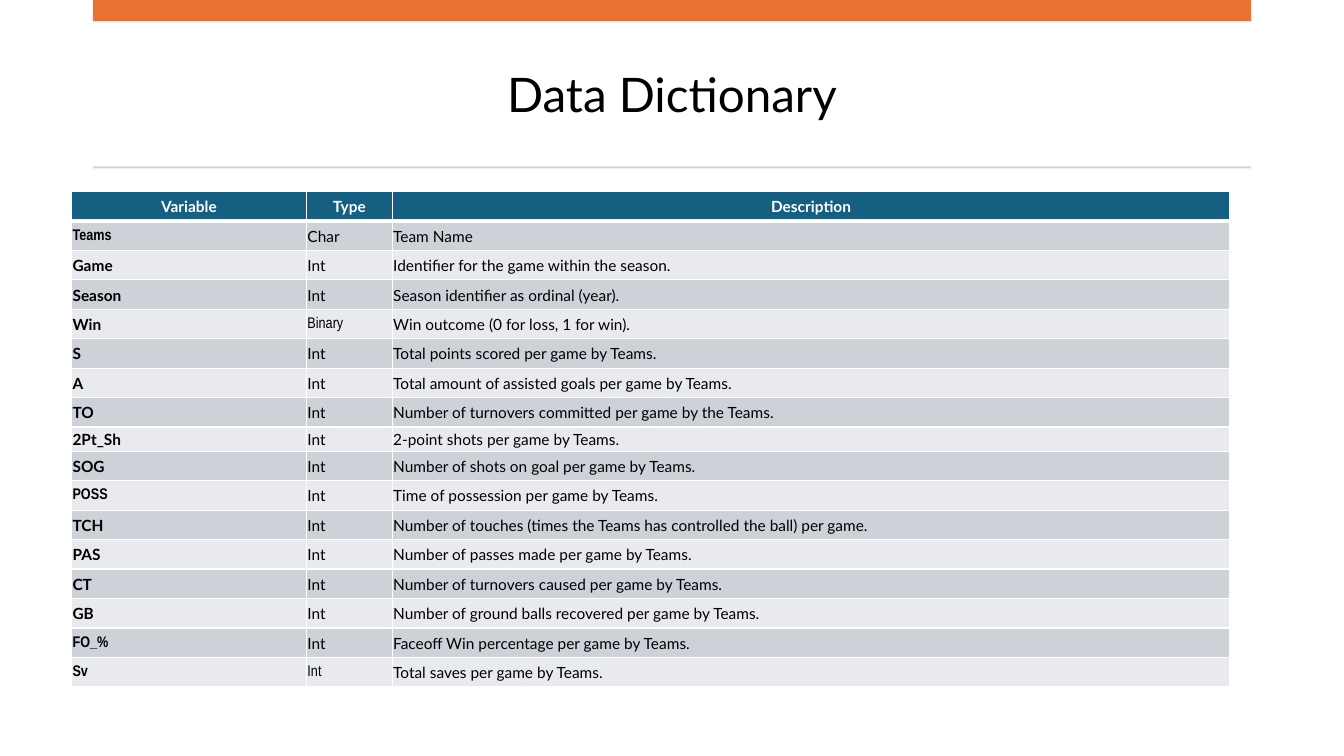
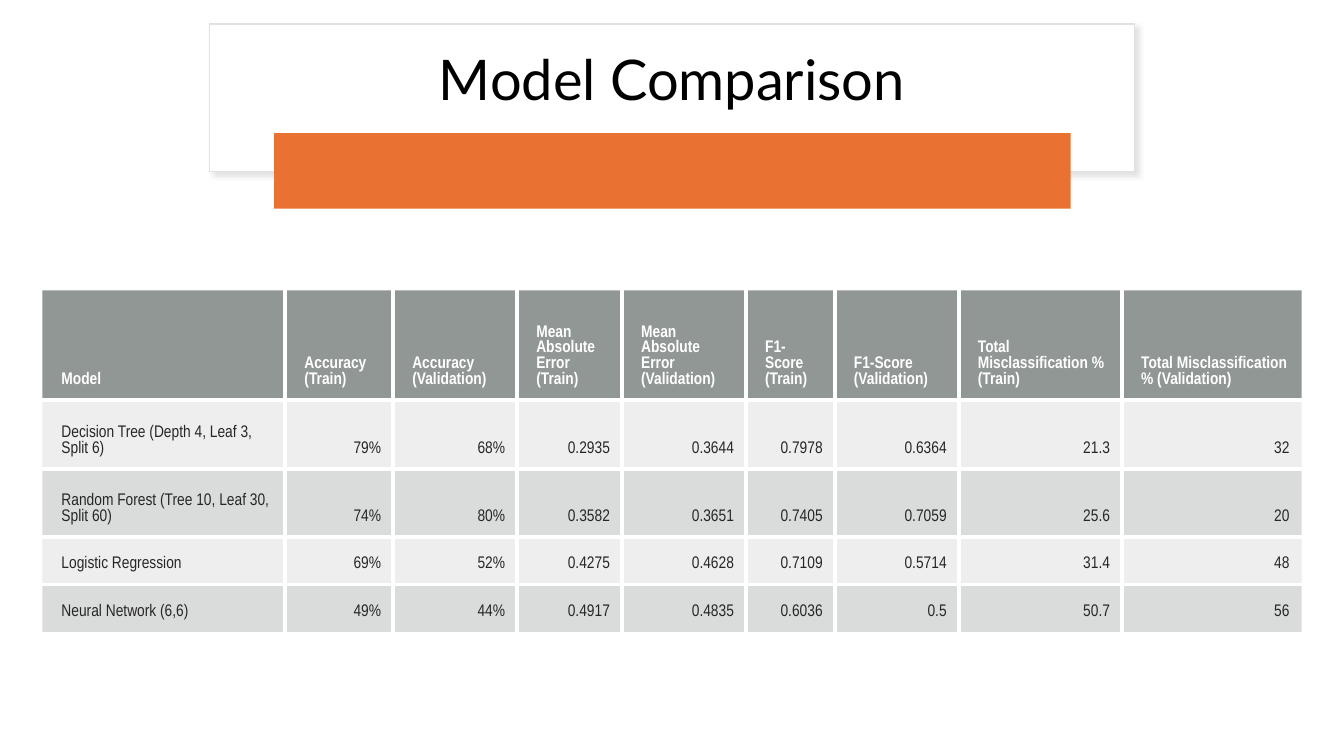
from lxml import etree
from pptx import Presentation
from pptx import util as u
from pptx.dml.color import RGBColor
from pptx.enum import shapes, text
from pptx.oxml import ns

# Shared look
WIDTH, HEIGHT = 13.33, 7.5
LATO, NARROW = "Lato", "Arial Narrow"
WHITE, BLACK, ORANGE = "FFFFFF", "000000", "E97132"
RULE_GREY, BOX_EDGE, BOX_SHADOW = "D5D5D5", "E1E1E1", "C5C5C5"
LEFT, MIDDLE, RIGHT = text.PP_ALIGN.LEFT, text.PP_ALIGN.CENTER, text.PP_ALIGN.RIGHT

# Slide 1: variables of the data set
DICTIONARY_HEAD = ("Variable", "Type", "Description")
VARIABLES = [
    ("Teams", "Char", "Team Name"),
    ("Game", "Int", "Identifier for the game within the season."),
    ("Season", "Int", "Season identifier as ordinal (year)."),
    ("Win", "Binary", "Win outcome (0 for loss, 1 for win)."),
    ("S", "Int", "Total points scored per game by Teams."),
    ("A", "Int", "Total amount of assisted goals per game by Teams."),
    ("TO", "Int", "Number of turnovers committed per game by the Teams."),
    ("2Pt_Sh", "Int", "2-point shots per game by Teams."),
    ("SOG", "Int", "Number of shots on goal per game by Teams."),
    ("POSS", "Int", "Time of possession per game by Teams."),
    ("TCH", "Int", "Number of touches (times the Teams has controlled the ball) per game."),
    ("PAS", "Int", "Number of passes made per game by Teams."),
    ("CT", "Int", "Number of turnovers caused per game by Teams."),
    ("GB", "Int", "Number of ground balls recovered per game by Teams."),
    ("FO_%", "Int", "Faceoff Win percentage per game by Teams."),
    ("Sv", "Int", "Total saves per game by Teams."),
]
NARROW_CELLS = {("Teams", 0), ("Win", 1), ("POSS", 0), ("FO_%", 0), ("Sv", 0), ("Sv", 1)}
DICTIONARY_COLUMNS = (2.33, 0.85, 8.31)
DICTIONARY_HEIGHT, SHORT_ROW = 4.92, 0.24

# Slide 2: scores of each model
MODEL_HEAD = (
    "Model", "Accuracy (Train)", "Accuracy (Validation)",
    "Mean Absolute Error (Train)", "Mean Absolute Error (Validation)",
    "F1-Score (Train)", "F1-Score (Validation)",
    "Total Misclassification % (Train)", "Total Misclassification % (Validation)",
)
MODELS = [
    ("Decision Tree (Depth 4, Leaf 3, Split 6)",
     "79%", "68%", "0.2935", "0.3644", "0.7978", "0.6364", "21.3", "32"),
    ("Random Forest (Tree 10, Leaf 30, Split 60)",
     "74%", "80%", "0.3582", "0.3651", "0.7405", "0.7059", "25.6", "20"),
    ("Logistic Regression",
     "69%", "52%", "0.4275", "0.4628", "0.7109", "0.5714", "31.4", "48"),
    ("Neural Network (6,6)",
     "49%", "44%", "0.4917", "0.4835", "0.6036", "0.5", "50.7", "56"),
]
MODEL_COLUMNS = (2.41, 1.07, 1.23, 1.04, 1.23, 0.88, 1.23, 1.62, 1.78)
MODEL_ROWS = (1.09, 0.68, 0.68, 0.47, 0.47)


def color(hex_code):
    return RGBColor.from_string(hex_code)


def add_node(parent, tag, **attributes):
    return etree.SubElement(parent, ns.qn(tag), {k: str(v) for k, v in attributes.items()})


def paint(fill, hex_code, opacity=100):
    fill.solid()
    fill.fore_color.rgb = color(hex_code)
    if opacity < 100:
        # The colour node sits inside the fill of the cell
        rgb = fill._xPr.find(ns.qn("a:solidFill")).find(ns.qn("a:srgbClr"))
        add_node(rgb, "a:alpha", val=opacity * 1000)


def add_block(slide, box, fill, line=None):
    block = slide.shapes.add_shape(shapes.MSO_SHAPE.RECTANGLE, *map(u.Inches, box))
    block.shadow.inherit = False
    paint(block.fill, fill)
    if line:
        block.line.color.rgb = color(line)
        block.line.width = u.Pt(1)
    else:
        block.line.fill.background()
    return block


def add_shadow(block, hex_code):
    effects = block._element.spPr.find(ns.qn("a:effectLst"))
    shadow = add_node(effects, "a:outerShdw", blurRad=u.Pt(4), dist=u.Pt(3),
                      dir=45 * 60000, algn="tl", rotWithShape=0)
    add_node(add_node(shadow, "a:srgbClr", val=hex_code), "a:alpha", val=50000)


def write(frame, words, font, size, hex_code, bold=False, align=LEFT):
    paragraph = frame.paragraphs[0]
    paragraph.alignment = align
    run = paragraph.add_run()
    run.text = words
    run.font.name, run.font.size, run.font.bold = font, u.Pt(size), bold
    run.font.color.rgb = color(hex_code)
    return paragraph


def add_title(slide, words, box, size):
    frame = slide.shapes.add_textbox(*map(u.Inches, box)).text_frame
    frame.word_wrap = True
    frame.vertical_anchor = text.MSO_ANCHOR.MIDDLE
    write(frame, words, LATO, size, BLACK, align=MIDDLE).line_spacing = 0.9


def set_borders(cell, widths):
    """Widths in points for left, right, top and bottom; 0 draws none."""
    properties = cell._tc.get_or_add_tcPr()
    for side, width in zip("LRTB", widths):
        line = add_node(properties, f"a:ln{side}", w=u.Pt(width))
        if width:
            add_node(add_node(line, "a:solidFill"), "a:srgbClr", val=WHITE)
        else:
            add_node(line, "a:noFill")


def add_grid(slide, corner, columns, heights, rows, insets, anchor, borders, fill, style):
    """borders, fill and style give the look of the cell at (row, column)."""
    frame = slide.shapes.add_table(len(rows), len(columns), *map(
        u.Inches, (*corner, sum(columns), sum(heights))))
    table = frame.table
    for column, width in zip(table.columns, columns):
        column.width = u.Inches(width)
    for row, height in zip(table.rows, heights):
        row.height = u.Inches(height)
    for r, row in enumerate(rows):
        for c, words in enumerate(row):
            cell = table.cell(r, c)
            (cell.margin_left, cell.margin_top,
             cell.margin_right, cell.margin_bottom) = map(u.Inches, insets)
            cell.vertical_anchor = anchor
            set_borders(cell, borders(r, c))
            paint(cell.fill, *fill(r))
            write(cell.text_frame, words, **style(r, c))


def build_dictionary(slide):
    left, width = 0.92, 11.49
    add_title(slide, "Data Dictionary", (left, 0.37, width, 1.18), 34)
    add_block(slide, (left, 0, width, 0.21), ORANGE)
    add_block(slide, (left, 1.65, width, 0.02), RULE_GREY)

    rows = [DICTIONARY_HEAD, *VARIABLES]
    row_height = (DICTIONARY_HEIGHT - SHORT_ROW) / (len(rows) - 1)
    heights = [SHORT_ROW if row[0] == "2Pt_Sh" else row_height for row in rows]

    def borders(r, c):
        return 1, 1, 3 if r == 1 else 1, 3 if r == 0 else 1

    def fill(r):
        return ("156082",) if r == 0 else (("E8EAED", "CCD2D8")[r % 2],)

    def style(r, c):
        return dict(font=NARROW if (rows[r][0], c) in NARROW_CELLS else LATO, size=11,
                    hex_code=BLACK if r else WHITE, bold=r == 0 or c == 0,
                    align=LEFT if r else MIDDLE)

    add_grid(slide, (0.71, 1.9), DICTIONARY_COLUMNS, heights, rows,
             (0.01, 0.01, 0.01, 0), text.MSO_ANCHOR.MIDDLE, borders, fill, style)


def build_comparison(slide):
    title_box = add_block(slide, (2.08, 0.24, 9.17, 1.46), WHITE, BOX_EDGE)
    add_shadow(title_box, BOX_SHADOW)
    add_title(slide, "Model Comparison", (2.3, 0.34, 8.73, 0.95), 40)
    add_block(slide, (2.72, 1.32, 7.9, 0.75), ORANGE)

    rows = [MODEL_HEAD, *MODELS]
    last_row, last_column = len(rows) - 1, len(MODEL_HEAD) - 1

    def borders(r, c):
        inner = (c > 0, c < last_column, r > 0, r < last_row)
        return [3 * side for side in inner]

    def fill(r):
        return ("636B68", 70) if r == 0 else ("878E8B", (30, 15)[r % 2])

    def style(r, c):
        return dict(font=NARROW, size=12, hex_code="262626" if r else WHITE,
                    bold=r == 0, align=RIGHT if r and c else LEFT)

    add_grid(slide, (0.42, 2.88), MODEL_COLUMNS, MODEL_ROWS, rows,
             (0.19, 0.12, 0.12, 0.12), text.MSO_ANCHOR.BOTTOM, borders, fill, style)


def main():
    deck = Presentation()
    deck.slide_width, deck.slide_height = u.Inches(WIDTH), u.Inches(HEIGHT)
    blank = deck.slide_layouts[6]
    for build in (build_dictionary, build_comparison):
        build(deck.slides.add_slide(blank))
    deck.save("out.pptx")


if __name__ == "__main__":
    main()
